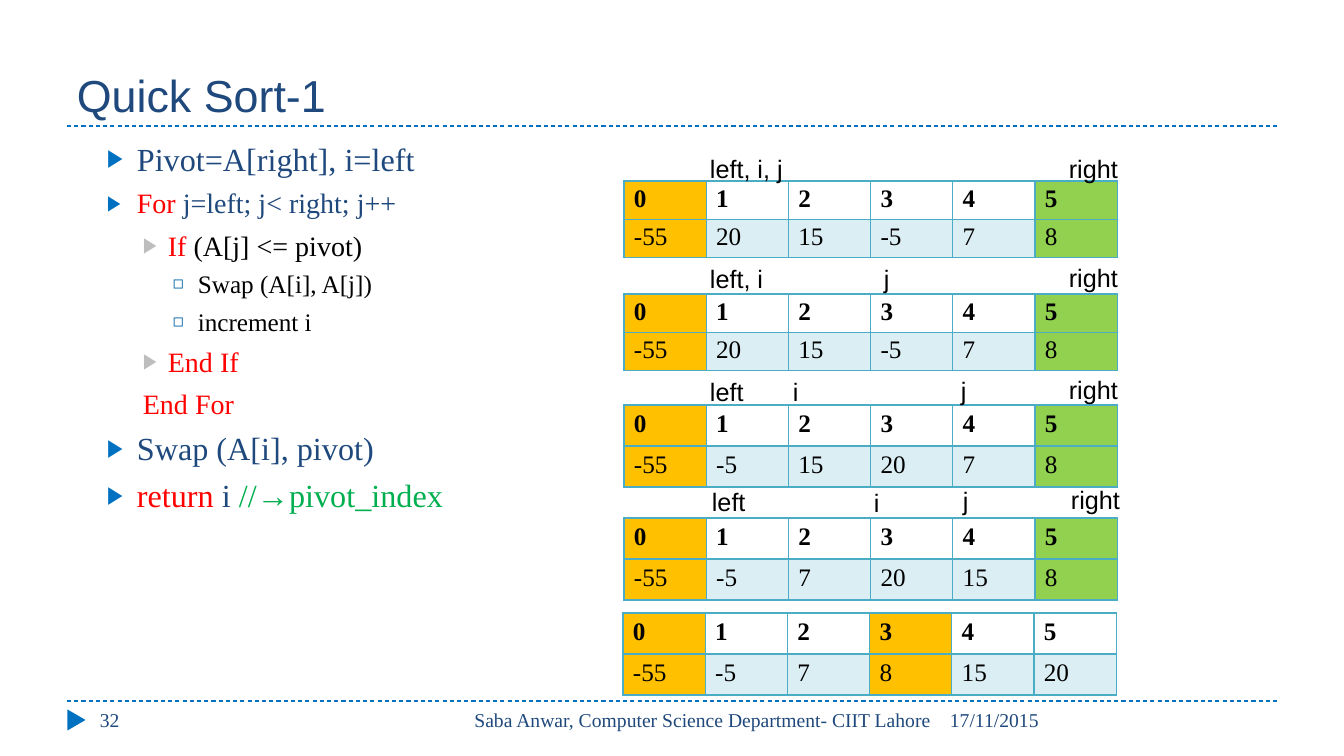
from lxml.etree import SubElement
from pptx import Presentation
from pptx.dml.color import RGBColor
from pptx.enum.dml import MSO_LINE
from pptx.enum.shapes import MSO_CONNECTOR, MSO_SHAPE
from pptx.enum.text import MSO_ANCHOR, MSO_AUTO_SIZE, PP_ALIGN
from pptx.oxml.ns import qn
from pptx.util import Pt

EMU_PER_PX = 914400 / 100.8
SERIF, SANS = "Times New Roman", "Arial"
NAVY = RGBColor(0x1F, 0x49, 0x7D)
BLUE = RGBColor(0x00, 0x70, 0xC0)
SQUARE_BLUE = RGBColor(0x00, 0x63, 0xA9)
GRAY = RGBColor(0xBD, 0xBD, 0xBD)
BLACK = RGBColor(0x00, 0x00, 0x00)
RED = RGBColor(0xFF, 0x00, 0x00)
COMMENT_GREEN = RGBColor(0x00, 0xB0, 0x50)
TEAL = RGBColor(0x4B, 0xAC, 0xC6)
PALE_TEAL = RGBColor(0xDB, 0xEE, 0xF4)
ORANGE = RGBColor(0xFF, 0xC0, 0x00)
GREEN = RGBColor(0x92, 0xD0, 0x50)

# Outline levels: left margin px, indent px, space before pt, bullet (character, colour, percent)
LEVELS = {
    "step": (60, -30, 6, ("▶", BLUE, 76)),
    "inner": (91, -25, 6, ("▶", GRAY, 76)),
    "action": (121, -25, 5, ("◻", SQUARE_BLUE, 70)),
    "plain": (66, 0, 6, None),
}


def px(value):
    return round(value * EMU_PER_PX)


class SlideBuilder:
    def __init__(self, slide):
        self.slide = slide

    def style_run(self, run, size, color, font=SERIF, bold=False):
        run.font.size = Pt(size)
        run.font.name = font
        run.font.bold = bold
        run.font.color.rgb = color

    def box(self, left, top, width, height, anchor=MSO_ANCHOR.TOP, wrap=True):
        shape = self.slide.shapes.add_textbox(px(left), px(top), px(width), px(height))
        frame = shape.text_frame
        frame.word_wrap = wrap
        frame.vertical_anchor = anchor
        return frame

    def text(self, left, top, width, height, text, size, color, font=SERIF,
             anchor=MSO_ANCHOR.MIDDLE, align=PP_ALIGN.LEFT):
        frame = self.box(left, top, width, height, anchor)
        frame.text = text
        frame.paragraphs[0].alignment = align
        self.style_run(frame.paragraphs[0].runs[0], size, color, font)

    def label(self, left, top, width, text):
        frame = self.box(left, top, width, 40, wrap=False)
        frame.auto_size = MSO_AUTO_SIZE.SHAPE_TO_FIT_TEXT
        frame.text = text
        self.style_run(frame.paragraphs[0].runs[0], 18, BLACK, SANS)

    def dashed_rule(self, y):
        rule = self.slide.shapes.add_connector(
            MSO_CONNECTOR.STRAIGHT, px(67), px(y), px(1277), px(y))
        rule.line.color.rgb = BLUE
        rule.line.width = Pt(0.75)
        rule.line.dash_style = MSO_LINE.DASH
        SubElement(rule._element.spPr, qn("a:effectLst"))

    def triangle(self, left, top, width, height):
        shape = self.slide.shapes.add_shape(
            MSO_SHAPE.ISOSCELES_TRIANGLE, px(left), px(top), px(width), px(height))
        shape.rotation = 90
        shape.shadow.inherit = False
        shape.fill.solid()
        shape.fill.fore_color.rgb = BLUE
        shape.line.fill.background()

    def set_level(self, paragraph, level):
        margin, indent, space, bullet = LEVELS[level]
        properties = paragraph._p.get_or_add_pPr()
        properties.set("marL", str(px(margin)))
        properties.set("indent", str(px(indent)))
        if bullet:
            character, color, percent = bullet
            color_element = SubElement(properties, qn("a:buClr"))
            SubElement(color_element, qn("a:srgbClr"), val=str(color))
            SubElement(properties, qn("a:buSzPct"), val=str(percent * 1000))
            SubElement(properties, qn("a:buFont"), typeface=SANS)
            SubElement(properties, qn("a:buChar"), char=character)
        else:
            SubElement(properties, qn("a:buNone"))
        return Pt(space)

    def outline(self, left, top, width, height, lines):
        frame = self.box(left, top, width, height)
        for index, (level, size, parts) in enumerate(lines):
            paragraph = frame.add_paragraph() if index else frame.paragraphs[0]
            space = self.set_level(paragraph, level)
            if index:
                paragraph.space_before = space
            for text, color in parts:
                run = paragraph.add_run()
                run.text = text
                self.style_run(run, size, color)

    def cell_borders(self, cell):
        properties = cell._tc.get_or_add_tcPr()
        for position, side in enumerate(("lnL", "lnR", "lnT", "lnB")):
            line = properties.makeelement(qn(f"a:{side}"), {"w": str(Pt(1))})
            fill = SubElement(line, qn("a:solidFill"))
            SubElement(fill, qn("a:srgbClr"), val=str(TEAL))
            properties.insert(position, line)

    def array_table(self, left, top, row_height, values, highlights):
        rows = (range(len(values)), values)
        table = self.slide.shapes.add_table(
            2, len(values), px(left), px(top), px(82 * len(values)), px(2 * row_height)).table
        table.first_row = table.horz_banding = False
        for column in table.columns:
            column.width = px(82.2)
        for row_index, row in enumerate(rows):
            table.rows[row_index].height = px(row_height)
            for column_index, value in enumerate(row):
                cell = table.cell(row_index, column_index)
                cell.margin_top = cell.margin_bottom = px((row_height - 30) // 2)
                cell.margin_left = cell.margin_right = px(10)
                cell.text = str(value)
                self.style_run(cell.text_frame.paragraphs[0].runs[0], 18, BLACK,
                               bold=row_index == 0)
                color = highlights.get(column_index, PALE_TEAL if row_index else None)
                if color is None:
                    cell.fill.background()
                else:
                    cell.fill.solid()
                    cell.fill.fore_color.rgb = color
                self.cell_borders(cell)


def main():
    presentation = Presentation()
    presentation.slide_width, presentation.slide_height = px(1344), px(756)
    builder = SlideBuilder(presentation.slides.add_slide(presentation.slide_layouts[6]))

    # Rules, title and footer
    for y in (701, 126):
        builder.dashed_rule(y)
    builder.triangle(66, 711, 21, 18)
    builder.text(67, 17, 1210, 109, "Quick Sort-1", 32, NAVY, SANS, MSO_ANCHOR.BOTTOM)
    builder.text(940, 700, 337, 40, "17/11/2015", 14, NAVY)
    builder.text(426, 700, 515, 40, "Saba Anwar, Computer Science Department- CIIT Lahore",
                 14, NAVY, align=PP_ALIGN.RIGHT)
    builder.text(90, 700, 291, 40, "32", 14, NAVY)

    # Partition pseudocode
    builder.outline(67, 134, 1210, 544, [
        ("step", 23, [("Pivot=A[right], i=left", NAVY)]),
        ("step", 20, [("For", RED), (" j=left; j< right; j++", NAVY)]),
        ("inner", 20, [("If ", RED), ("(A[j] <= pivot)", BLACK)]),
        ("action", 18, [("Swap (A[i], A[j])", BLACK)]),
        ("action", 18, [("increment i", BLACK)]),
        ("inner", 20, [("End If", RED)]),
        ("plain", 20, [("End For", RED)]),
        ("step", 23, [("Swap (A[i], pivot)", NAVY)]),
        ("step", 23, [("return ", RED), ("i ", NAVY), ("//→pivot_index", COMMENT_GREEN)]),
    ])

    # Array after each step
    ends = {0: ORANGE, 5: GREEN}
    for left, top, row_height, values, highlights in (
        (624, 181, 38, (-55, 20, 15, -5, 7, 8), ends),
        (624, 294, 38, (-55, 20, 15, -5, 7, 8), ends),
        (624, 405, 41, (-55, -5, 15, 20, 7, 8), ends),
        (624, 518, 41, (-55, -5, 7, 20, 15, 8), ends),
        (623, 613, 41, (-55, -5, 7, 8, 15, 20), {0: ORANGE, 3: ORANGE}),
    ):
        builder.array_table(left, top, row_height, values, highlights)

    # Index markers above the arrays
    widths = {"left, i, j": 94, "left, i": 74, "left": 54, "right": 70, "i": 26, "j": 26}
    for left, top, text in (
        (700, 148, "left, i, j"), (1059, 148, "right"),
        (700, 258, "left, i"), (874, 258, "j"), (1059, 257, "right"),
        (700, 371, "left"), (783, 371, "i"), (951, 370, "j"), (1059, 369, "right"),
        (702, 481, "left"), (864, 482, "i"), (953, 480, "j"), (1061, 479, "right"),
    ):
        builder.label(left, top, widths[text], text)

    presentation.save("out.pptx")


if __name__ == "__main__":
    main()
